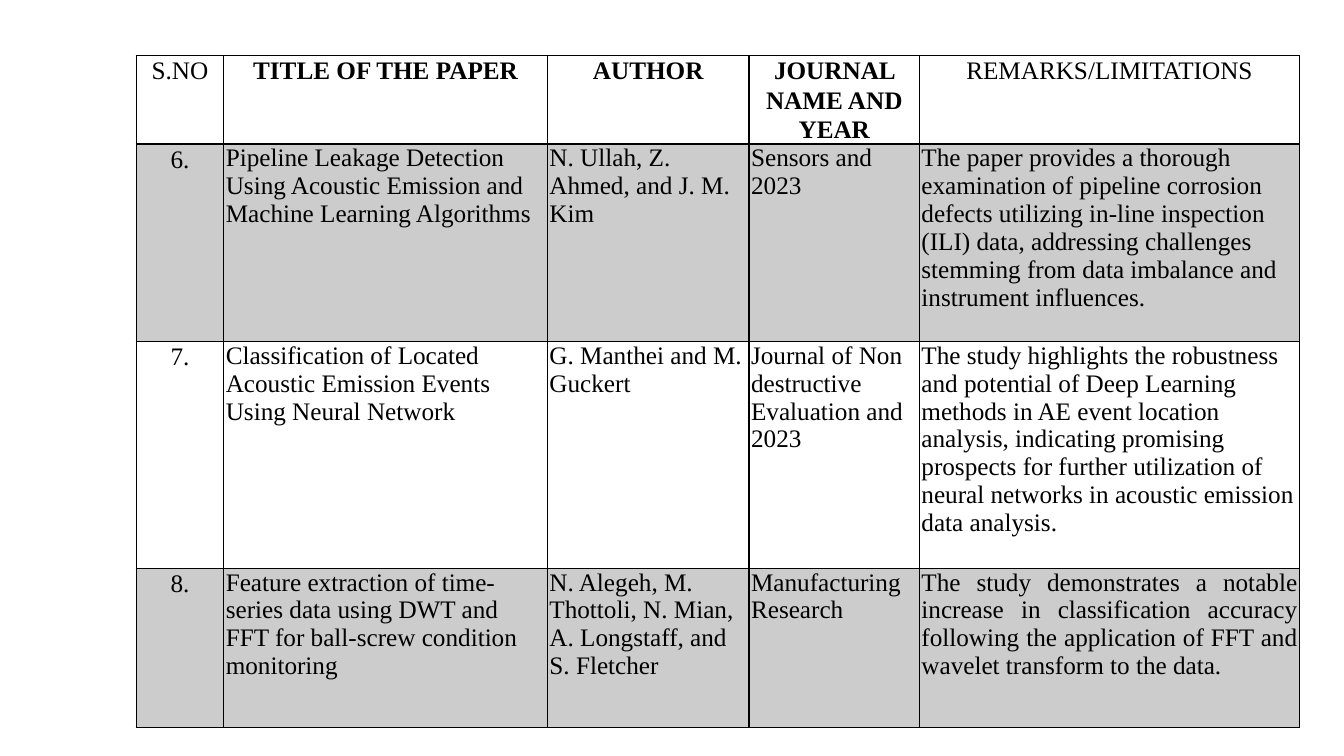
from dataclasses import dataclass

from lxml import etree
from pptx import Presentation
from pptx import util as u
from pptx.dml.color import RGBColor
from pptx.enum import text
from pptx.oxml import ns


@dataclass(frozen=True)
class Theme:
    font: str = "Times New Roman"
    size: int = 18
    ink: str = "000000"
    band: str = "CCCCCC"
    rule: float = 1
    header_rule: float = 2


THEME = Theme()
SLIDE_SIZE = (13.33, 7.5)
TABLE_BOX = (1.35, 0.55, 11.54, 6.48)
COLUMN_PARTS = (0.87, 3.21, 2, 1.69, 3.77)
ROW_PARTS = (0.69, 1.96, 2.25, 1.58)
BOLD_HEADINGS = (1, 2, 3)
LEFT = text.PP_ALIGN.LEFT
CENTER = text.PP_ALIGN.CENTER
JUSTIFY = text.PP_ALIGN.JUSTIFY

HEADINGS = (
    "S.NO", "TITLE OF THE PAPER", "AUTHOR",
    "JOURNAL NAME AND YEAR", "REMARKS/LIMITATIONS",
)
PAPERS = (
    (
        "6.",
        "Pipeline Leakage Detection Using Acoustic Emission and Machine "
        "Learning Algorithms",
        "N. Ullah, Z. Ahmed, and J. M. Kim",
        "Sensors and 2023",
        "The paper provides a thorough examination of pipeline corrosion "
        "defects utilizing in-line inspection (ILI) data, addressing "
        "challenges stemming from data imbalance and instrument influences.",
    ),
    (
        "7.",
        "Classification of Located Acoustic Emission Events Using Neural "
        "Network",
        "G. Manthei and M. Guckert",
        "Journal of Non destructive Evaluation and 2023",
        "The study highlights the robustness and potential of Deep Learning "
        "methods in AE event location analysis, indicating promising "
        "prospects for further utilization of neural networks in acoustic "
        "emission data analysis.",
    ),
    (
        "8.",
        "Feature extraction of time-series data using DWT and FFT for "
        "ball-screw condition monitoring",
        "N. Alegeh, M. Thottoli, N. Mian, A. Longstaff, and S. Fletcher",
        "Manufacturing Research",
        "The study demonstrates a notable increase in classification "
        "accuracy following the application of FFT and wavelet transform "
        "to the data.",
    ),
)


def set_borders(cell, widths):
    properties = cell._tc.get_or_add_tcPr()
    for position, (side, width) in enumerate(widths.items()):
        line = etree.Element(ns.qn(f"a:ln{side}"), w=str(u.Pt(width)))
        fill = etree.SubElement(line, ns.qn("a:solidFill"))
        etree.SubElement(fill, ns.qn("a:srgbClr"), val=THEME.ink)
        properties.insert(position, line)


def write_cell(cell, words, alignment, bold=False, spacing=None):
    cell.margin_left = cell.margin_right = u.Inches(0.02)
    cell.margin_top = cell.margin_bottom = 0
    cell.vertical_anchor = text.MSO_ANCHOR.TOP
    paragraph = cell.text_frame.paragraphs[0]
    paragraph.alignment = alignment
    if spacing:
        paragraph.line_spacing = spacing
    run = paragraph.add_run()
    run.text = words
    run.font.name = THEME.font
    run.font.size = u.Pt(THEME.size)
    run.font.bold = bold
    run.font.color.rgb = RGBColor.from_string(THEME.ink)


def share_out(lines, attribute, parts, length):
    for line, part in zip(lines, parts):
        setattr(line, attribute, u.Inches(length * part / sum(parts)))


def add_paper_table(slide, box):
    rows = (HEADINGS, *PAPERS)
    frame = slide.shapes.add_table(
        len(rows), len(HEADINGS), *(u.Inches(length) for length in box))
    table = frame.table
    table.first_row = table.horz_banding = False
    share_out(table.columns, "width", COLUMN_PARTS, box[2])
    share_out(table.rows, "height", ROW_PARTS, box[3])

    for row, entries in enumerate(rows):
        header = row == 0
        widths = {
            "L": THEME.rule,
            "R": THEME.rule,
            "T": THEME.header_rule if row == 1 else THEME.rule,
            "B": THEME.header_rule if header else THEME.rule,
        }
        for column, words in enumerate(entries):
            cell = table.cell(row, column)
            centered = header or column == 0
            last = row == len(rows) - 1 and column == len(entries) - 1
            alignment = CENTER if centered else JUSTIFY if last else LEFT
            write_cell(cell, words, alignment,
                       bold=header and column in BOLD_HEADINGS,
                       spacing=1.06 if centered else None)
            if row % 2:
                cell.fill.solid()
                cell.fill.fore_color.rgb = RGBColor.from_string(THEME.band)
            else:
                cell.fill.background()
            set_borders(cell, widths)


def main():
    presentation = Presentation()
    presentation.slide_width, presentation.slide_height = (
        u.Inches(length) for length in SLIDE_SIZE)
    slide = presentation.slides.add_slide(presentation.slide_layouts[6])
    add_paper_table(slide, TABLE_BOX)
    presentation.save("out.pptx")


if __name__ == "__main__":
    main()
